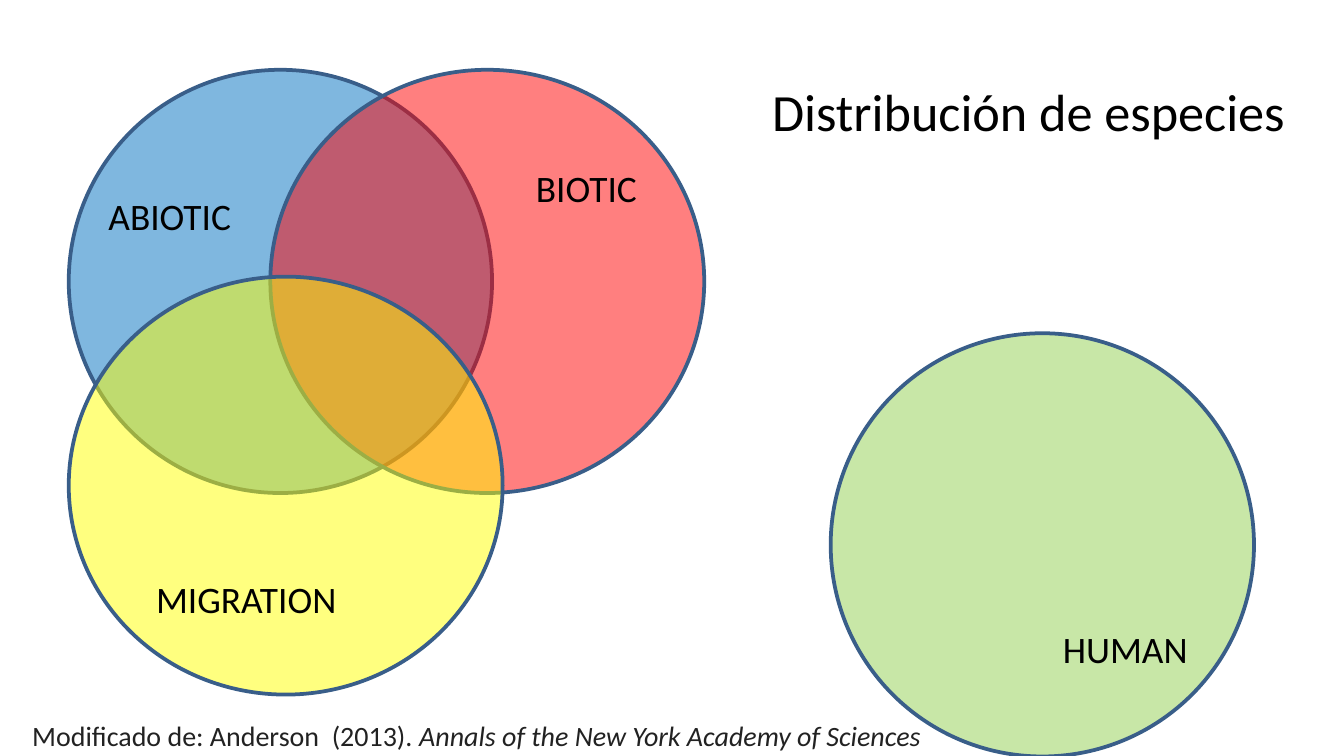
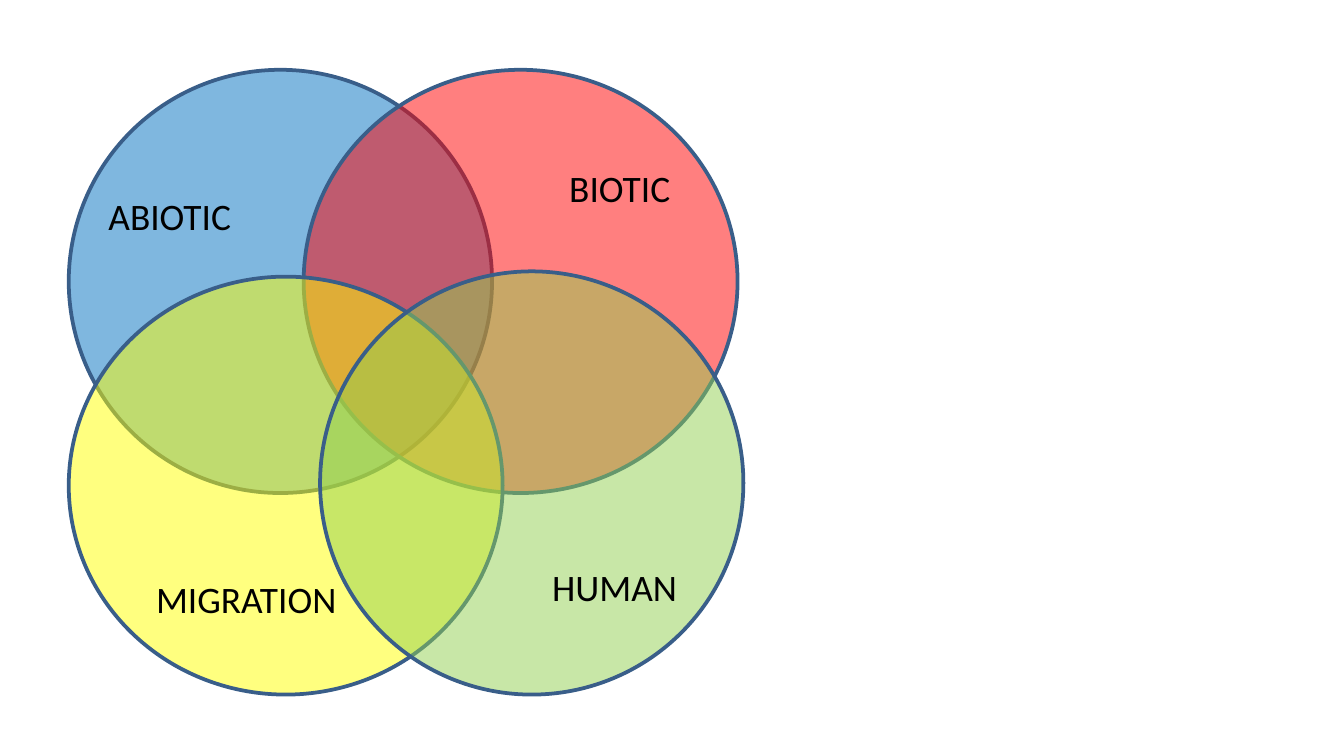
from lxml.etree import SubElement
from pptx import Presentation
from pptx.dml.color import RGBColor
from pptx.enum.shapes import MSO_SHAPE
from pptx.enum.text import MSO_ANCHOR, MSO_AUTO_SIZE, PP_ALIGN
from pptx.oxml.ns import qn
from pptx.util import Cm, Pt

TITLE_ONLY, BLANK = 5, 6
OUTLINE = "395E89"
LABEL_FORMAT = {"size": Pt(20), "name": "Calibri"}
TITLE_FORMAT = {"size": Pt(28), "name": "Calibri"}
SOURCE_FORMAT = {"size": Pt(15), "name": "Calibri"}

# Label boxes are relative to their circle; all lengths in cm
LABEL_HEIGHT = 1.12
FACTORS = {
    "ABIOTIC": {"fill": "0070C0", "size": (8, 8),
                "label": (0.5, 2.2, 3.4), "align": PP_ALIGN.LEFT},
    "BIOTIC": {"fill": "FF0000", "size": (8.2, 8),
               "label": (4.08, 1.68, 3.1), "align": PP_ALIGN.RIGHT},
    "MIGRATION": {"fill": "FFFF00", "size": (8.2, 7.9),
                  "label": (1.4, 5.53, 5.2), "align": PP_ALIGN.LEFT},
    "HUMAN": {"fill": "92D050", "size": (8, 8),
              "label": (2.8, 5.4, 4.2), "align": PP_ALIGN.RIGHT},
}


def color(value):
    return RGBColor.from_string(value)


def format_font(font, values, text_color="000000"):
    for name, value in values.items():
        setattr(font, name, value)
    font.color.rgb = color(text_color)


def set_frame(frame, vertical_inset):
    values = {"word_wrap": True, "auto_size": MSO_AUTO_SIZE.NONE,
              "vertical_anchor": MSO_ANCHOR.TOP,
              "margin_left": Cm(0.25), "margin_right": Cm(0.25),
              "margin_top": Cm(vertical_inset), "margin_bottom": Cm(vertical_inset)}
    for name, value in values.items():
        setattr(frame, name, value)


def add_circle(group, factor, left, top):
    width, height = factor["size"]
    circle = group.shapes.add_shape(MSO_SHAPE.OVAL, Cm(left), Cm(top), Cm(width), Cm(height))
    circle.shadow.inherit = False
    circle.fill.solid()
    circle.fill.fore_color.rgb = color(factor["fill"])
    # Half-transparent fill lets the overlaps show
    fill_color = circle.fill._xPr.find(qn("a:solidFill"))[0]
    SubElement(fill_color, qn("a:alpha"), val="50000")
    circle.line.color.rgb = color(OUTLINE)
    circle.line.width = Pt(2)


def add_label(group, name, factor, left, top):
    offset_left, offset_top, width = factor["label"]
    label = group.shapes.add_textbox(Cm(left + offset_left), Cm(top + offset_top),
                                     Cm(width), Cm(LABEL_HEIGHT))
    set_frame(label.text_frame, 0.13)
    paragraph = label.text_frame.paragraphs[0]
    paragraph.text = name
    paragraph.alignment = factor["align"]
    format_font(paragraph.font, LABEL_FORMAT)


def add_factors(slide, left, top, places):
    """Group circles at their places inside the region, labels on top."""
    group = slide.shapes.add_group_shape()
    for name, (x, y) in places.items():
        add_circle(group, FACTORS[name], left + x, top + y)
    for name, (x, y) in places.items():
        add_label(group, name, FACTORS[name], left + x, top + y)


def add_diagram(slide, biotic_left, human_place):
    left, top = 1.3, 1.32
    add_factors(slide, left, top, {"ABIOTIC": (0, 0), "BIOTIC": (biotic_left, 0),
                                   "MIGRATION": (0, 3.91)})
    add_factors(slide, left, top, {"HUMAN": human_place})


def set_title(slide, text, left, top, width, height):
    title = slide.shapes.title
    title.left, title.top, title.width, title.height = map(Cm, (left, top, width, height))
    set_frame(title.text_frame, 0.25)
    paragraph = title.text_frame.paragraphs[0]
    paragraph.text = text
    paragraph.alignment = PP_ALIGN.RIGHT
    format_font(paragraph.font, TITLE_FORMAT)


def add_source(slide, credit, journal, left, top, width, height):
    box = slide.shapes.add_textbox(Cm(left), Cm(top), Cm(width), Cm(height))
    set_frame(box.text_frame, 0.25)
    paragraph = box.text_frame.paragraphs[0]
    paragraph.line_spacing = 1.24
    for text, italic in ((credit, False), (journal, True)):
        run = paragraph.add_run()
        run.text = text
        format_font(run.font, SOURCE_FORMAT | {"italic": italic}, "222222")


def main():
    presentation = Presentation()
    presentation.slide_width, presentation.slide_height = Cm(25.4), Cm(14.29)
    layouts = presentation.slide_layouts

    # Human factor apart from the other three
    slide = presentation.slides.add_slide(layouts[TITLE_ONLY])
    set_title(slide, "Distribución de especies", 0.86, 1.24, 23.67, 1.6)
    add_diagram(slide, 3.81, (14.4, 4.98))
    add_source(slide, "Modificado de: Anderson  (2013). ",
               "Annals of the New York Academy of Sciences", 0.36, 13.18, 24.74, 1.14)

    # All four factors overlapping
    slide = presentation.slides.add_slide(layouts[BLANK])
    add_diagram(slide, 4.44, (4.75, 3.81))

    presentation.save("out.pptx")


if __name__ == "__main__":
    main()
